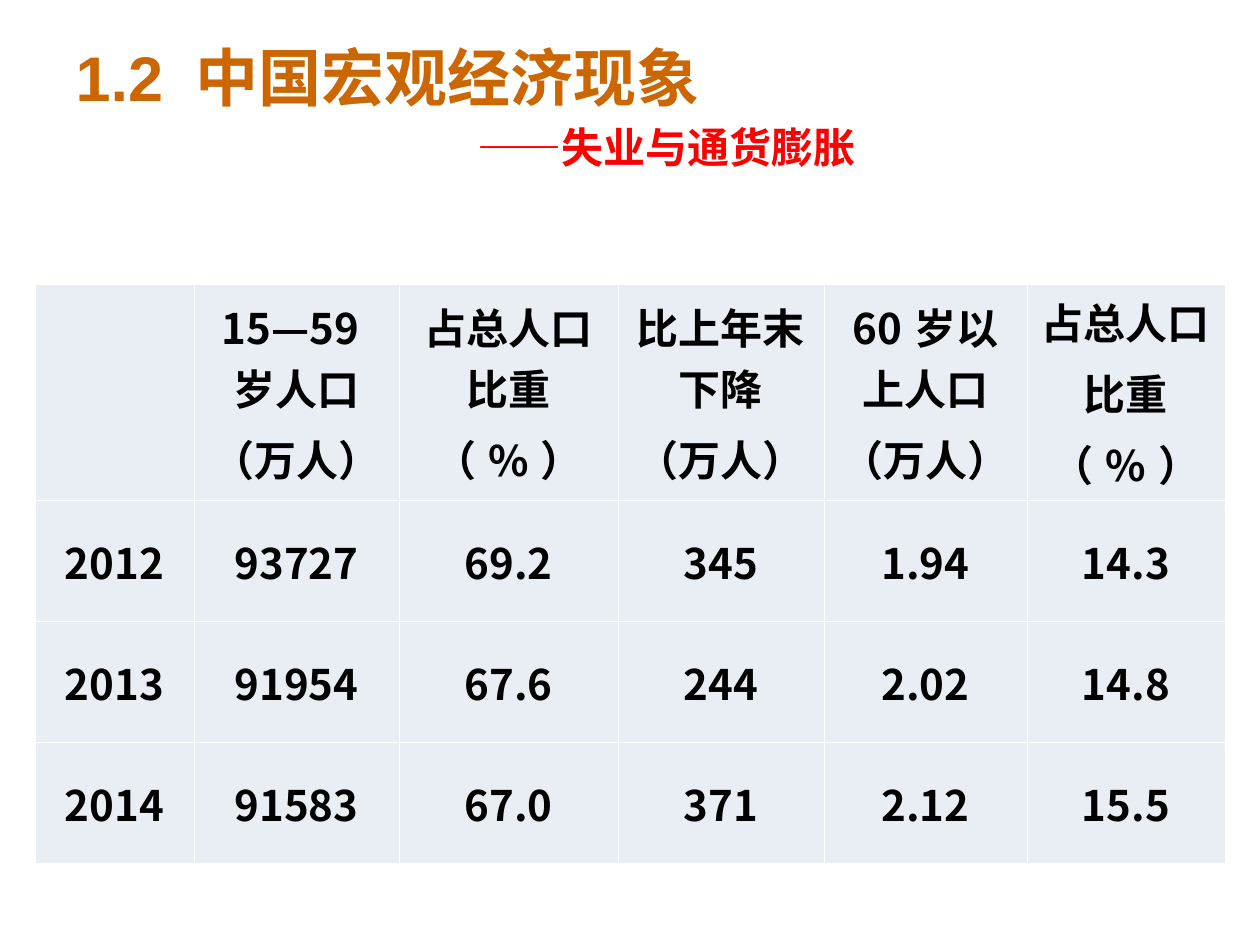
from dataclasses import dataclass

from lxml.etree import SubElement
from pptx import Presentation
from pptx.dml.color import RGBColor
from pptx.enum.text import MSO_ANCHOR, MSO_AUTO_SIZE, PP_ALIGN
from pptx.oxml.ns import qn
from pptx.util import Emu, Pt

COLORS = {
    "heading": "CC6600",
    "subtitle": "FF0000",
    "text": "000000",
    "cell": "E9EDF4",
    "border": "FFFFFF",
}
CJK = "Noto Sans CJK SC"
PX_PER_INCH = 126


@dataclass(frozen=True)
class TextStyle:
    size: int
    color: str
    latin: str = CJK


HEADING = TextStyle(36, "heading", "Arial")
SUBTITLE = TextStyle(24, "subtitle", "Times New Roman")
CELL = TextStyle(24, "text")

COLUMN_WIDTHS = (159, 205, 219, 206, 203, 198)
ROW_HEIGHTS = (185, 121, 121, 121)
# Line breaks separate the paragraphs of a cell
POPULATION = (
    ("", "15—59岁人口\n（万人）", "占总人口比重\n（%）", "比上年末下降\n（万人）",
     "60岁以上人口\n（万人）", "占总人口\n比重\n（%）"),
    ("2012", "93727", "69.2", "345", "1.94", "14.3"),
    ("2013", "91954", "67.6", "244", "2.02", "14.8"),
    ("2014", "91583", "67.0", "371", "2.12", "15.5"),
)


def px(length: int) -> Emu:
    return Emu(round(length * 914400 / PX_PER_INCH))


def write(paragraph, text: str, style: TextStyle) -> None:
    """Add one run, with the Chinese font for its East Asian characters."""
    font = paragraph.font
    font.size, font.bold, font.name = Pt(style.size), True, style.latin
    font.color.rgb = RGBColor.from_string(COLORS[style.color])
    run = paragraph.add_run()
    run.text = text
    SubElement(run._r.get_or_add_rPr(), qn("a:ea"), typeface=CJK)


def add_borders(cell) -> None:
    properties = cell._tc.get_or_add_tcPr()
    for index, side in enumerate(("lnL", "lnR", "lnT", "lnB")):
        line = properties.makeelement(qn(f"a:{side}"), {"w": str(Pt(0.45))})
        fill = SubElement(line, qn("a:solidFill"))
        SubElement(fill, qn("a:srgbClr"), val=COLORS["border"])
        properties.insert(index, line)


def fill_cell(cell, text: str) -> None:
    cell.fill.solid()
    cell.fill.fore_color.rgb = RGBColor.from_string(COLORS["cell"])
    add_borders(cell)
    cell.vertical_anchor = MSO_ANCHOR.MIDDLE
    if not text:
        return
    for index, line in enumerate(text.split("\n")):
        frame = cell.text_frame
        paragraph = frame.add_paragraph() if index else frame.paragraphs[0]
        paragraph.alignment = PP_ALIGN.CENTER
        if index:
            paragraph.space_before = Pt(6)
        write(paragraph, line, CELL)


def add_title(slide) -> None:
    title = slide.shapes.title
    title.left, title.top, title.width, title.height = map(px, (63, 16, 1040, 179))
    frame = title.text_frame
    frame.auto_size = MSO_AUTO_SIZE.NONE
    frame.vertical_anchor = MSO_ANCHOR.MIDDLE
    heading, subtitle = frame.paragraphs[0], frame.add_paragraph()
    heading.alignment = subtitle.alignment = PP_ALIGN.LEFT
    write(heading, "1.2 中国宏观经济现象", HEADING)
    subtitle.space_before = Pt(4)
    subtitle._p.get_or_add_pPr().set("marL", str(px(402)))
    write(subtitle, "——失业与通货膨胀", SUBTITLE)


def add_population_table(slide) -> None:
    table = slide.shapes.add_table(
        len(ROW_HEIGHTS), len(COLUMN_WIDTHS), px(35), px(284),
        px(sum(COLUMN_WIDTHS)), px(sum(ROW_HEIGHTS)),
    ).table
    table.first_row = table.horz_banding = False
    for column, width in zip(table.columns, COLUMN_WIDTHS):
        column.width = px(width)
    for row, height, texts in zip(table.rows, ROW_HEIGHTS, POPULATION):
        row.height = px(height)
        for cell, text in zip(row.cells, texts):
            fill_cell(cell, text)


def main() -> None:
    deck = Presentation()
    deck.slide_width, deck.slide_height = px(1260), px(945)
    slide = deck.slides.add_slide(deck.slide_layouts[5])
    add_title(slide)
    add_population_table(slide)
    deck.save("out.pptx")


if __name__ == "__main__":
    main()
